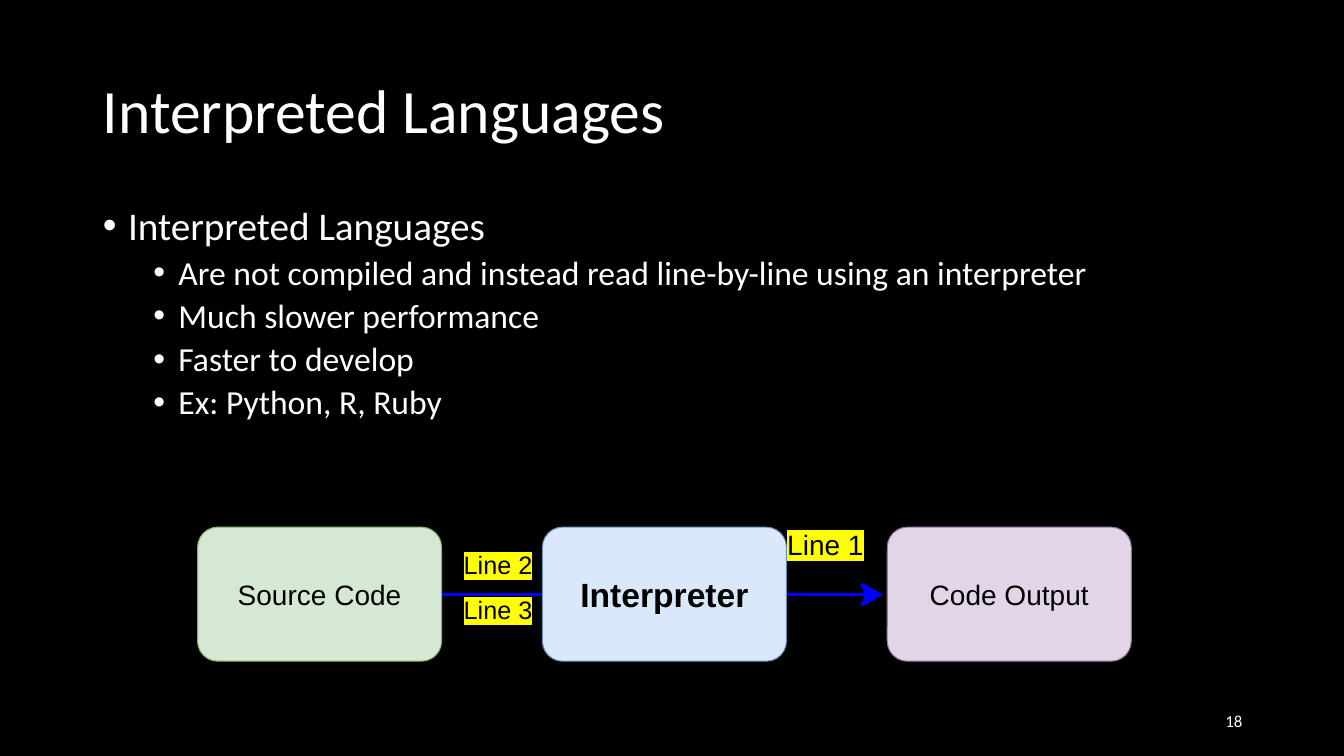
from typing import NamedTuple

from lxml.etree import SubElement
from pptx import Presentation
from pptx.dml.color import RGBColor
from pptx.enum.shapes import MSO_CONNECTOR, MSO_SHAPE
from pptx.enum.text import MSO_ANCHOR, MSO_AUTO_SIZE, PP_ALIGN
from pptx.oxml.ns import qn
from pptx.util import Inches, Pt

COLORS = {"background": "000000", "light": "FFFFFF", "dark": "000000",
          "arrow": "0000FF", "highlight": "FFFF00"}
BOX_TOP, BOX_WIDTH, BOX_HEIGHT = 5.23, 2.42, 1.33
BOX_LEFT, BOX_PITCH = 1.96, 3.42
ARROW_Y = 5.9


class Stage(NamedTuple):
    text: str
    fill: str
    line: str
    size: int = 20
    bold: bool = False


class Label(NamedTuple):
    text: str
    left: float
    top: float
    width: float
    height: float
    size: int
    font: str = "Arial"
    color: str = "dark"
    align: PP_ALIGN = PP_ALIGN.LEFT
    highlight: bool = False


STAGES = [
    Stage("Source Code", "D5E8D4", "82B366"),
    Stage("Interpreter", "DAE8FC", "6C8EBF", 24, True),
    Stage("Code Output", "E1D5E7", "9673A6"),
]
LABELS = [
    Label("Line 1", 7.71, 5.18, 0.97, 0.44, 20, highlight=True),
    Label("Line 2", 4.5, 5.4, 0.89, 0.4, 18, highlight=True),
    Label("Line 3", 4.5, 5.85, 0.89, 0.4, 18, highlight=True),
    Label("18", 9.42, 6.95, 3, 0.4, 12, "Calibri", "light", PP_ALIGN.RIGHT),
]
BULLETS = [
    (0, "Interpreted Languages"),
    (1, "Are not compiled and instead read line-by-line using an interpreter"),
    (1, "Much slower performance"),
    (1, "Faster to develop"),
    (1, "Ex: Python, R, Ruby"),
]


def rgb(name: str) -> RGBColor:
    return RGBColor.from_string(COLORS.get(name, name))


def add_run(p, text: str, color: str, **formats):
    r = p.add_run()
    r.text = text
    r.font.color.rgb = rgb(color)
    for name, value in formats.items():
        setattr(r.font, name, value)
    return r


def place(sp, left: float, top: float, width: float, height: float) -> None:
    box = {"left": left, "top": top, "width": width, "height": height}
    for name, value in box.items():
        setattr(sp, name, Inches(value))


def add_bullet(p, level: int, text: str) -> None:
    p.level = level
    p.line_spacing = 0.9
    p.space_before = Pt(5 if level else 0)
    pPr = p._p.get_or_add_pPr()
    pPr.set("marL", str(Inches(0.25 + 0.5 * level)))
    pPr.set("indent", str(Inches(-0.25)))
    SubElement(pPr, qn("a:buFont"), typeface="Arial")
    SubElement(pPr, qn("a:buChar"), char="•")
    add_run(p, text, "light", name="Calibri", size=Pt(24 if level else 28))


def add_stage(s, index: int, stage: Stage) -> None:
    sp = s.shapes.add_shape(
        MSO_SHAPE.ROUNDED_RECTANGLE, Inches(BOX_LEFT + index * BOX_PITCH),
        Inches(BOX_TOP), Inches(BOX_WIDTH), Inches(BOX_HEIGHT))
    sp.adjustments[0] = 0.15
    sp.shadow.inherit = False
    sp.fill.solid()
    sp.fill.fore_color.rgb = rgb(stage.fill)
    sp.line.color.rgb = rgb(stage.line)
    sp.line.width = Pt(0.75)
    tf = sp.text_frame
    tf.vertical_anchor = MSO_ANCHOR.MIDDLE
    p = tf.paragraphs[0]
    p.alignment = PP_ALIGN.CENTER
    add_run(p, stage.text, "dark", name="Arial", size=Pt(stage.size), bold=stage.bold)


def add_label(s, label: Label) -> None:
    sp = s.shapes.add_textbox(Inches(label.left), Inches(label.top),
                              Inches(label.width), Inches(label.height))
    tf = sp.text_frame
    tf.word_wrap = label.align == PP_ALIGN.RIGHT
    tf.vertical_anchor = MSO_ANCHOR.MIDDLE
    p = tf.paragraphs[0]
    p.alignment = label.align
    r = add_run(p, label.text, label.color, name=label.font, size=Pt(label.size))
    if label.highlight:
        rPr = r.font._element
        mark = SubElement(rPr, qn("a:highlight"))
        SubElement(mark, qn("a:srgbClr"), val=COLORS["highlight"])
        rPr.find(qn("a:solidFill")).addnext(mark)


def add_arrow(s) -> None:
    y = Inches(ARROW_Y)
    shaft = s.shapes.add_connector(MSO_CONNECTOR.STRAIGHT, Inches(4.38), y, Inches(8.6), y)
    SubElement(shaft._element.spPr, qn("a:effectLst"))
    builder = s.shapes.build_freeform(Inches(8.73), y, scale=1.0)
    barbs = [(8.55, 0.1), (8.6, 0), (8.55, -0.1)]
    builder.add_line_segments(
        [(Inches(x), Inches(ARROW_Y + dy)) for x, dy in barbs], close=True)
    head = builder.convert_to_shape()
    head.shadow.inherit = False
    head.fill.solid()
    head.fill.fore_color.rgb = rgb("arrow")
    for sp in (shaft, head):
        sp.line.color.rgb = rgb("arrow")
        sp.line.width = Pt(2.25)


def main() -> None:
    prs = Presentation()
    prs.slide_width, prs.slide_height = Inches(13.33), Inches(7.5)
    s = prs.slides.add_slide(prs.slide_layouts[1])
    s.background.fill.solid()
    s.background.fill.fore_color.rgb = rgb("background")

    # Title
    title, body = s.placeholders
    place(title, 0.92, 0.4, 11.5, 1.45)
    tf = title.text_frame
    tf.auto_size = MSO_AUTO_SIZE.NONE
    tf.vertical_anchor = MSO_ANCHOR.MIDDLE
    p = tf.paragraphs[0]
    p.alignment = PP_ALIGN.LEFT
    p.line_spacing = 0.9
    add_run(p, "Interpreted Languages", "light", name="Calibri", size=Pt(44))

    # Bulleted list
    place(body, 0.92, 2, 11.5, 4.76)
    tf = body.text_frame
    tf.auto_size = MSO_AUTO_SIZE.NONE
    for i, (level, text) in enumerate(BULLETS):
        add_bullet(tf.add_paragraph() if i else tf.paragraphs[0], level, text)

    # Flow from source to output, with the arrow behind the boxes
    add_arrow(s)
    for i, stage in enumerate(STAGES):
        add_stage(s, i, stage)

    # Line labels and slide number
    for label in LABELS:
        add_label(s, label)

    prs.save("out.pptx")


if __name__ == "__main__":
    main()
